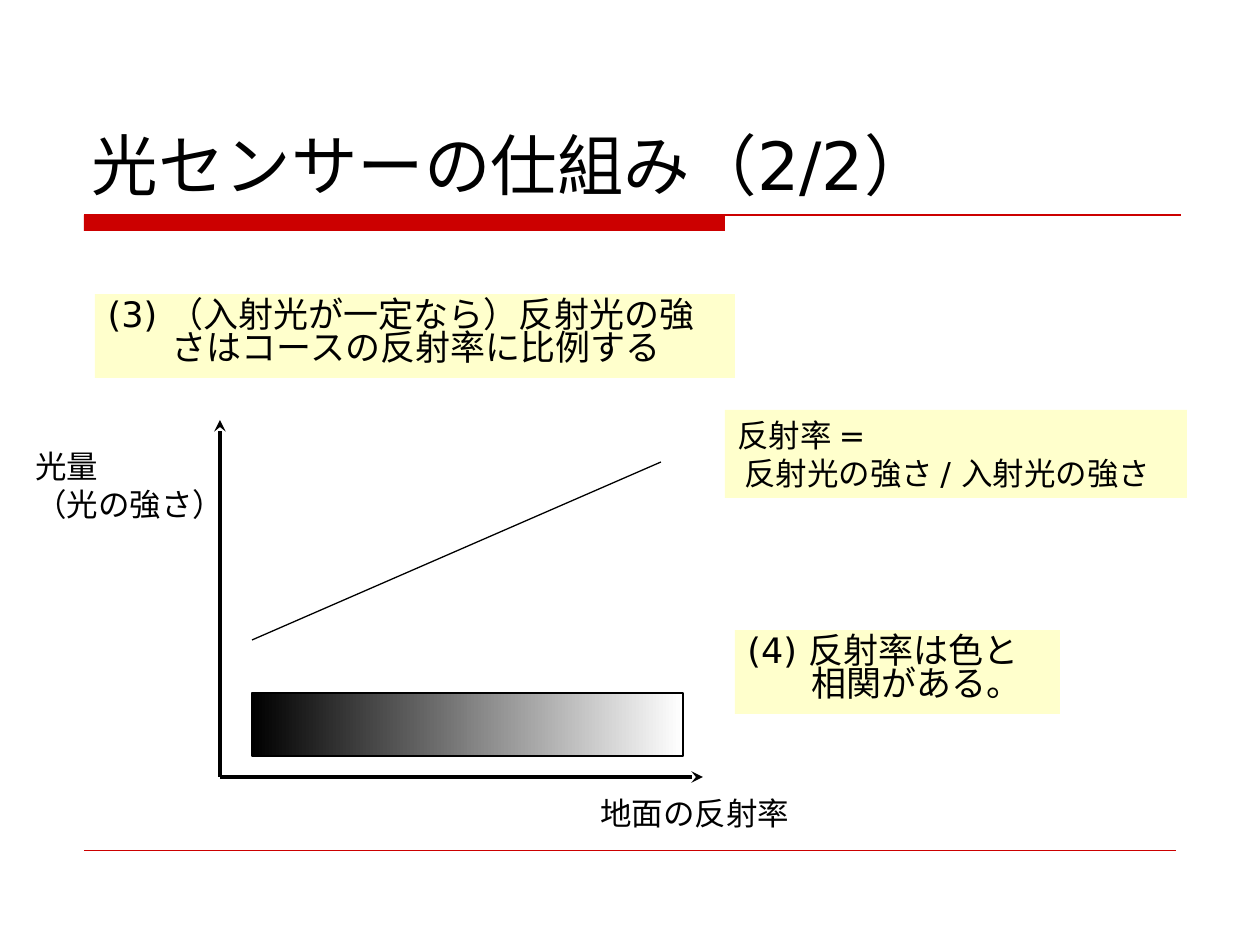
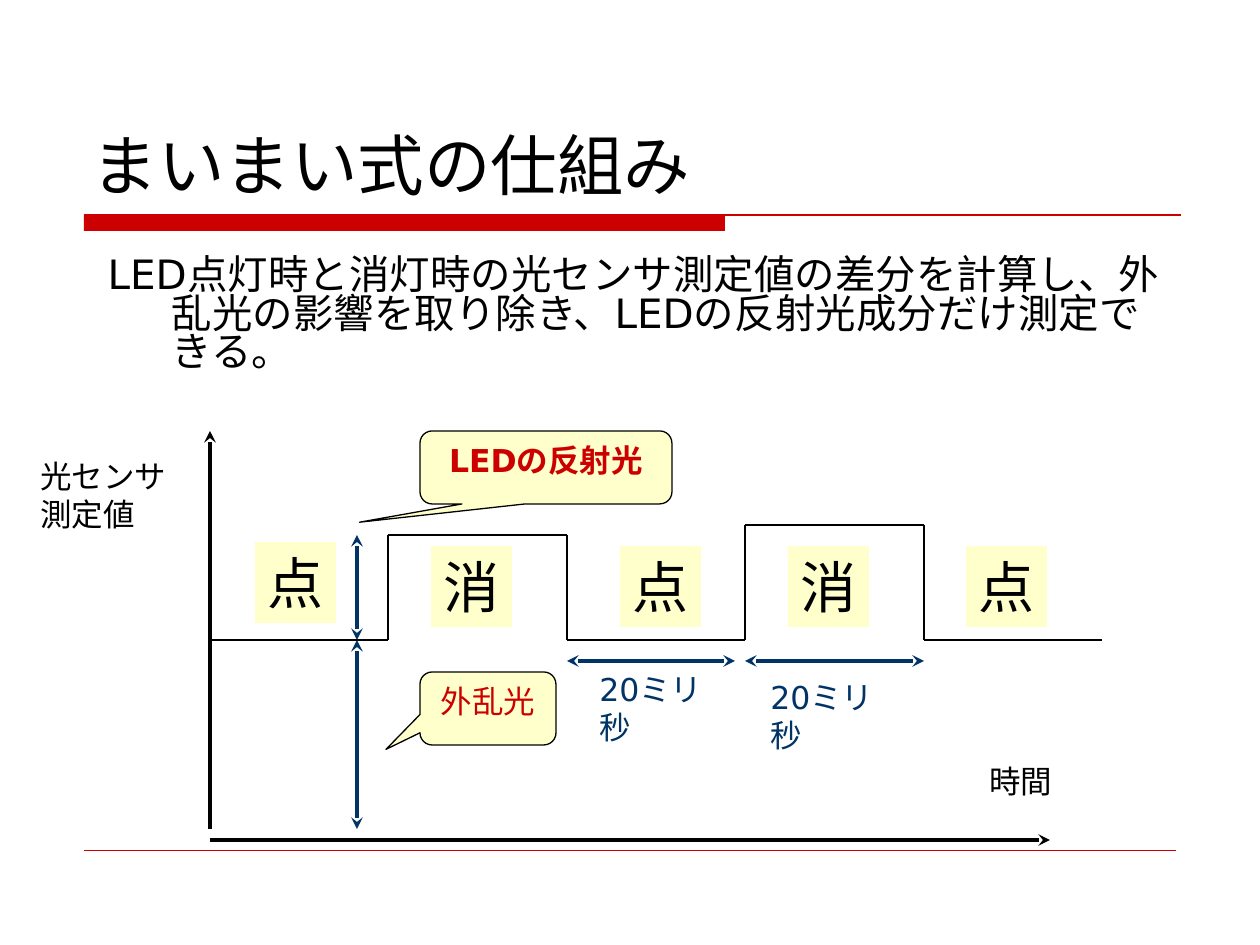
from pptx import Presentation
from pptx.dml.color import RGBColor
from pptx.enum.shapes import MSO_CONNECTOR as Connector, MSO_SHAPE as Shape
from pptx.enum.text import MSO_ANCHOR as Anchor, MSO_AUTO_SIZE as AutoSize, PP_ALIGN as Align
from pptx.oxml.ns import qn
from pptx.util import Emu, Pt
from lxml.etree import SubElement

FONT = "DejaVu Sans"
BLACK = RGBColor(0, 0, 0)
WHITE = RGBColor(255, 255, 255)
RED = RGBColor(0xCC, 0, 0)
NAVY = RGBColor(0, 0x33, 0x66)
CREAM = RGBColor(0xFF, 0xFF, 0xCC)


def px(length):
    """Turn px (126 to the inch) into EMU."""
    return Emu(round(length * 914400 / 126))


def place(element, box):
    """Move an element to left, top, width, height in px."""
    element.left, element.top, element.width, element.height = map(px, box)


def write(element, text, size=18, color=BLACK, bold=False, align=Align.LEFT,
          anchor=Anchor.TOP, wrap=True):
    """Set the text of an element and format all its runs."""
    frame = element.text_frame
    frame.text = text
    frame.word_wrap = wrap
    frame.auto_size = AutoSize.NONE
    frame.vertical_anchor = anchor
    for paragraph in frame.paragraphs:
        paragraph.alignment = align
        for run in paragraph.runs:
            run.font.name, run.font.size, run.font.bold = FONT, Pt(size), bold
            run.font.color.rgb = color


def fill_with(element, color):
    """Give an element a solid fill."""
    element.fill.solid()
    element.fill.fore_color.rgb = color


def write_hanging(element, text, size=20, space_before=5):
    """Write a tight paragraph with a hanging indent and no bullet."""
    write(element, text, size)
    paragraph = element.text_frame.paragraphs[0]
    paragraph.line_spacing = 0.8
    paragraph.space_before = Pt(space_before)
    properties = paragraph._p.get_or_add_pPr()
    properties.set("marL", str(px(64)))
    properties.set("indent", str(-px(64)))
    SubElement(properties, qn("a:buNone"))


def add_line(slide, start, end, color=BLACK, width=0.75, heads=()):
    """Draw a straight line, with stealth heads at the named ends."""
    line = slide.shapes.add_connector(Connector.STRAIGHT, *map(px, start + end))
    line.line.color.rgb = color
    line.line.width = Pt(width)
    properties = line.element.spPr
    for head in heads:
        SubElement(properties.find(qn("a:ln")), qn(f"a:{head}"), type="stealth")
    SubElement(properties, qn("a:effectLst"))


def add_axis(slide, start, end):
    """Draw a graph axis with an arrow at its end."""
    add_line(slide, start, end, width=2.25, heads=("tailEnd",))


def add_span(slide, start, end):
    """Draw a double-headed measuring arrow."""
    add_line(slide, start, end, NAVY, 2.25, ("headEnd", "tailEnd"))


def add_box(slide, kind, box, fill=CREAM, outline=None):
    """Add a preset shape without shadow."""
    shape = slide.shapes.add_shape(kind, *map(px, box))
    shape.shadow.inherit = False
    if fill is not None:
        fill_with(shape, fill)
    if outline is None:
        shape.line.fill.background()
    else:
        shape.line.color.rgb = outline
        shape.line.width = Pt(0.75)
    return shape


def add_label(slide, box, text, color=BLACK, wrap=False):
    """Add a plain caption."""
    write(slide.shapes.add_textbox(*map(px, box)), text, color=color, wrap=wrap)


def add_callout(slide, box, tip, text, bold=False):
    """Add a rounded speech bubble whose tip is relative to its size."""
    bubble = add_box(slide, Shape.ROUNDED_RECTANGULAR_CALLOUT, box, outline=BLACK)
    bubble.adjustments[0], bubble.adjustments[1] = tip
    write(bubble, text, color=RED, bold=bold, align=Align.CENTER)


def add_gradient_bar(slide, box):
    """Add the scale from black to white ground."""
    bar = add_box(slide, Shape.RECTANGLE, box, fill=None, outline=BLACK)
    bar.fill.gradient()
    bar.fill.gradient_angle = 0
    for stop, color in zip(bar.fill.gradient_stops, (BLACK, WHITE)):
        stop.color.rgb = color


def add_titled_slide(deck, title):
    """Add a slide with the shared rules and title; return it and its body."""
    slide = deck.slides.add_slide(deck.slide_layouts[1])
    add_box(slide, Shape.RECTANGLE, (84, 215, 641, 16), RED)
    add_line(slide, (84, 215), (1181, 215), RED)
    add_line(slide, (84, 850), (1176, 850), RED, 0.25)
    place(slide.shapes.title, (79, 42, 1103, 168))
    write(slide.shapes.title, title, 38, anchor=Anchor.BOTTOM)
    return slide, slide.placeholders[1]


def build_reflectance(deck):
    """Build the slide on light and ground reflectance."""
    slide, proportion = add_titled_slide(deck, "光センサーの仕組み（2/2）")
    place(proportion, (95, 294, 640, 84))
    fill_with(proportion, CREAM)
    write_hanging(proportion, "(3) （入射光が一定なら）反射光の強さはコースの反射率に比例する")

    origin = (220, 777)
    add_axis(slide, origin, (703, 777))
    add_axis(slide, origin, (220, 420))
    add_line(slide, (252, 640), (661, 462))
    add_label(slide, (588, 788, 214, 50), "地面の反射率")
    add_label(slide, (23, 441, 214, 88), "光量\n（光の強さ）")
    add_gradient_bar(slide, (252, 693, 431, 63))

    definition = add_box(slide, Shape.RECTANGLE, (725, 410, 462, 88))
    write(definition, "反射率 =\n 反射光の強さ / 入射光の強さ")
    correlation = add_box(slide, Shape.RECTANGLE, (735, 630, 325, 84))
    write_hanging(correlation, "(4) 反射率は色と相関がある。")


def add_square_wave(slide, levels):
    """Draw the sensor signal, one equal step for each level."""
    edges = [210 + 357 * step // 2 for step in range(len(levels) + 1)]
    for left, right, level in zip(edges, edges[1:], levels):
        add_line(slide, (left, level), (right, level))
    for edge, before, after in zip(edges[1:], levels, levels[1:]):
        add_line(slide, (edge, before), (edge, after))


def build_difference(deck):
    """Build the slide on measuring with the LED on and off."""
    slide, summary = add_titled_slide(deck, "まいまい式の仕組み")
    place(summary, (95, 252, 1081, 136))
    write_hanging(summary, "LED点灯時と消灯時の光センサ測定値の差分を計算し、"
                  "外乱光の影響を取り除き、LEDの反射光成分だけ測定できる。", 23.1, 6.2)

    add_axis(slide, (210, 829), (210, 431))
    add_axis(slide, (210, 840), (1050, 840))
    add_square_wave(slide, (640, 535, 640, 525, 640))
    states = (("点", 255, 542), ("消", 431, 546), ("点", 620, 546),
              ("消", 788, 546), ("点", 966, 546))
    for state, left, top in states:
        write(add_box(slide, Shape.RECTANGLE, (left, top, 81, 81)), state, 32, wrap=False)
    add_label(slide, (28, 451, 151, 88), "光センサ\n測定値")
    add_label(slide, (977, 756, 88, 50), "時間")

    add_span(slide, (357, 640), (357, 829))
    add_span(slide, (357, 535), (357, 640))
    add_callout(slide, (420, 672, 136, 73), (-0.75, 0.56), "外乱光")
    add_callout(slide, (420, 431, 252, 73), (-0.74, 0.75), "LEDの反射光", bold=True)
    for start, end, left, top in ((735, 567, 587, 664), (924, 745, 758, 672)):
        add_span(slide, (start, 661), (end, 661))
        add_label(slide, (left, top, 150, 88), "20ミリ秒", NAVY, wrap=True)


def main():
    """Build and save the deck."""
    deck = Presentation()
    deck.slide_width, deck.slide_height = px(1260), px(945)
    build_reflectance(deck)
    build_difference(deck)
    deck.save("out.pptx")


if __name__ == "__main__":
    main()
